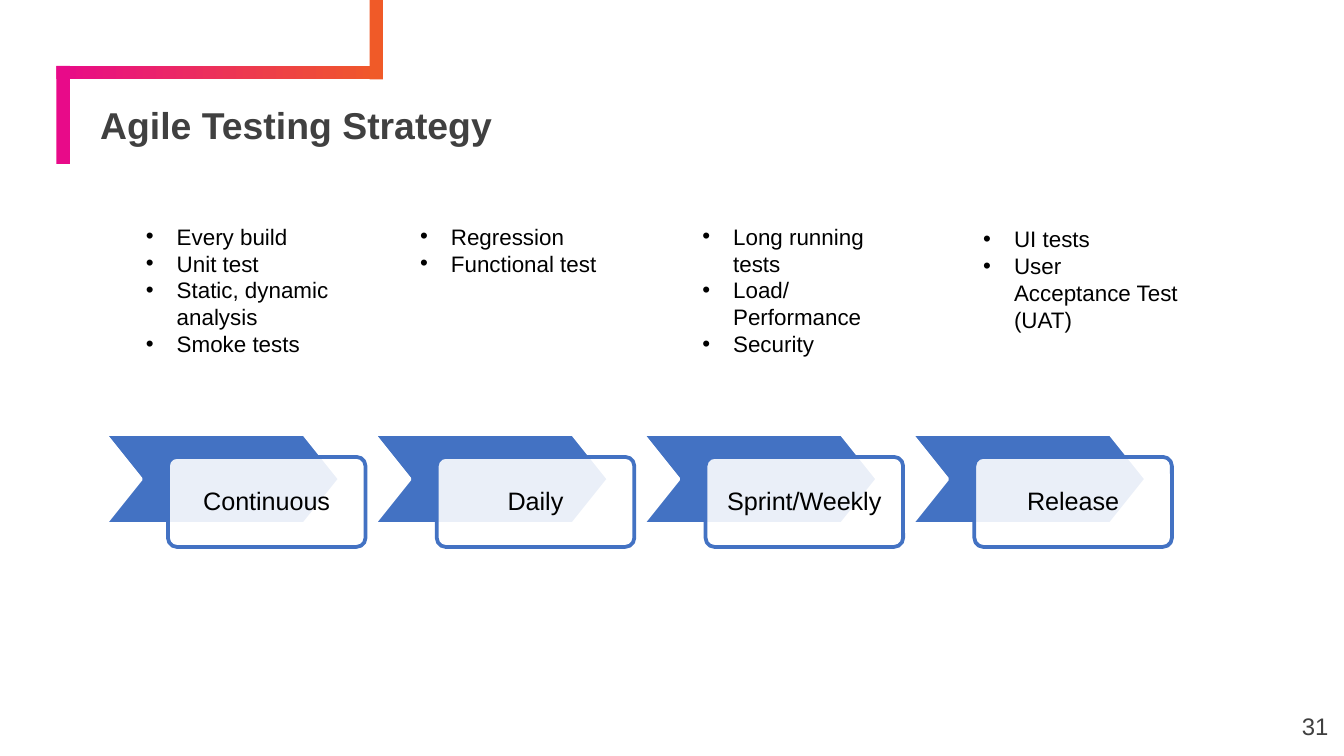
from lxml.etree import SubElement
from pptx import Presentation
from pptx.dml.color import RGBColor
from pptx.enum.shapes import MSO_SHAPE
from pptx.enum.text import MSO_ANCHOR, MSO_AUTO_SIZE, PP_ALIGN
from pptx.oxml.ns import qn
from pptx.util import Inches, Pt

PINK = RGBColor(0xE8, 0x0A, 0x89)
ORANGE = RGBColor(0xF0, 0x5A, 0x28)
BLUE = RGBColor(0x43, 0x72, 0xC3)
GREY = RGBColor(0x40, 0x40, 0x40)
BLACK = RGBColor(0, 0, 0)
WHITE = RGBColor(255, 255, 255)


def add_block(kind, left, top, width, height, color):
    block = page.shapes.add_shape(
        kind, Inches(left), Inches(top), Inches(width), Inches(height))
    block.shadow.inherit = False
    block.fill.solid()
    block.fill.fore_color.rgb = color
    block.line.fill.background()
    return block


def write(box, lines, size, color, frame_format, para_format, bold=False):
    frame = box.text_frame
    frame.text = "\n".join(lines)
    margins = {"margin_left": Pt(5.4), "margin_right": Pt(5.4),
               "margin_top": Pt(2.7), "margin_bottom": Pt(2.7)}
    for name, value in {"word_wrap": True, "auto_size": MSO_AUTO_SIZE.NONE,
                        **margins, **frame_format}.items():
        setattr(frame, name, value)
    for para in frame.paragraphs:
        for name, value in {"space_before": Pt(0), **para_format}.items():
            setattr(para, name, value)
        font = para.runs[0].font
        for name, value in {"name": "Arial", "size": Pt(size), "bold": bold}.items():
            setattr(font, name, value)
        font.color.rgb = color


deck = Presentation()
deck.slide_width = Inches(10)
deck.slide_height = deck.slide_width * 9 // 16
page = deck.slides.add_slide(deck.slide_layouts.get_by_name("Comparison"))

BAR = 0.1
ribbon = add_block(MSO_SHAPE.RECTANGLE, 0.42, 0.49, 2.43, BAR, PINK)
ribbon.fill.gradient()
ribbon.fill.gradient_angle = 0
for stop, color in zip(ribbon.fill.gradient_stops, (PINK, ORANGE)):
    stop.color.rgb = color
add_block(MSO_SHAPE.RECTANGLE, 0.42, 0.49, BAR, 0.73, PINK)
add_block(MSO_SHAPE.RECTANGLE, 2.75, 0, BAR, 0.59, ORANGE)

title = page.shapes.title
title.left, title.top = Inches(0.67), Inches(0.78)
title.width, title.height = Inches(9.03), Inches(0.34)
write(title, ["Agile Testing Strategy"], 20, GREY,
      {"vertical_anchor": MSO_ANCHOR.MIDDLE},
      {"alignment": PP_ALIGN.LEFT, "line_spacing": 0.9}, bold=True)

number = page.shapes.add_textbox(Inches(9.36), Inches(5.19), Inches(0.6), Inches(0.43))
write(number, ["31"], 12.8, GREY, {"vertical_anchor": MSO_ANCHOR.MIDDLE},
      {"alignment": PP_ALIGN.RIGHT})

COLUMN = 2
LABEL_MARGINS = {f"margin_{side}": Inches(0.1)
                 for side in ("left", "right", "top", "bottom")}
for index, stage in enumerate(("Continuous", "Daily", "Sprint/Weekly", "Release")):
    left = 0.78 + index * COLUMN
    chevron = add_block(MSO_SHAPE.CHEVRON, left, 3.23, 1.75, 0.67, BLUE)
    label = add_block(MSO_SHAPE.ROUNDED_RECTANGLE, left + 0.47, 3.4, 1.47, 0.67, WHITE)
    for block, adjustment, edge in ((chevron, 0.4, WHITE), (label, 0.1, BLUE)):
        block.adjustments[0] = adjustment
        block.line.color.rgb = edge
        block.line.width = Pt(2)
    tint = label.fill._xPr.find(qn("a:solidFill"))[0]
    SubElement(tint, qn("a:alpha"), val="89000")
    write(label, [stage], 13.5, BLACK,
          {"vertical_anchor": MSO_ANCHOR.MIDDLE, **LABEL_MARGINS},
          {"alignment": PP_ALIGN.CENTER, "line_spacing": 0.9})

test_lists = (
    (1.01, 1.62, 1.9, 1.29,
     ["Every build", "Unit test", "Static, dynamic analysis", "Smoke tests"]),
    (3.05, 1.62, 1.61, 0.88, ["Regression", "Functional test"]),
    (5.15, 1.62, 1.61, 1.49, ["Long running tests", "Load/Performance", "Security"]),
    (7.24, 1.64, 1.61, 1.09, ["UI tests", "User Acceptance Test (UAT)"]),
)
for index, (left, top, width, height, tests) in enumerate(test_lists, start=1):
    body = page.placeholders[index]
    body.left, body.top = Inches(left), Inches(top)
    body.width, body.height = Inches(width), Inches(height)
    write(body, tests, 12, BLACK, {"vertical_anchor": MSO_ANCHOR.TOP},
          {"alignment": PP_ALIGN.LEFT, "line_spacing": 1.0})
    for para in body.text_frame.paragraphs:
        properties = para._p.get_or_add_pPr()
        properties.set("marL", str(Inches(0.23)))
        properties.set("indent", str(-Inches(0.23)))
        bullet_color = SubElement(properties, qn("a:buClr"))
        SubElement(bullet_color, qn("a:srgbClr"), val=str(BLACK))
        SubElement(properties, qn("a:buFont"), typeface="Arial")
        SubElement(properties, qn("a:buChar"), char="•")

deck.save("out.pptx")
